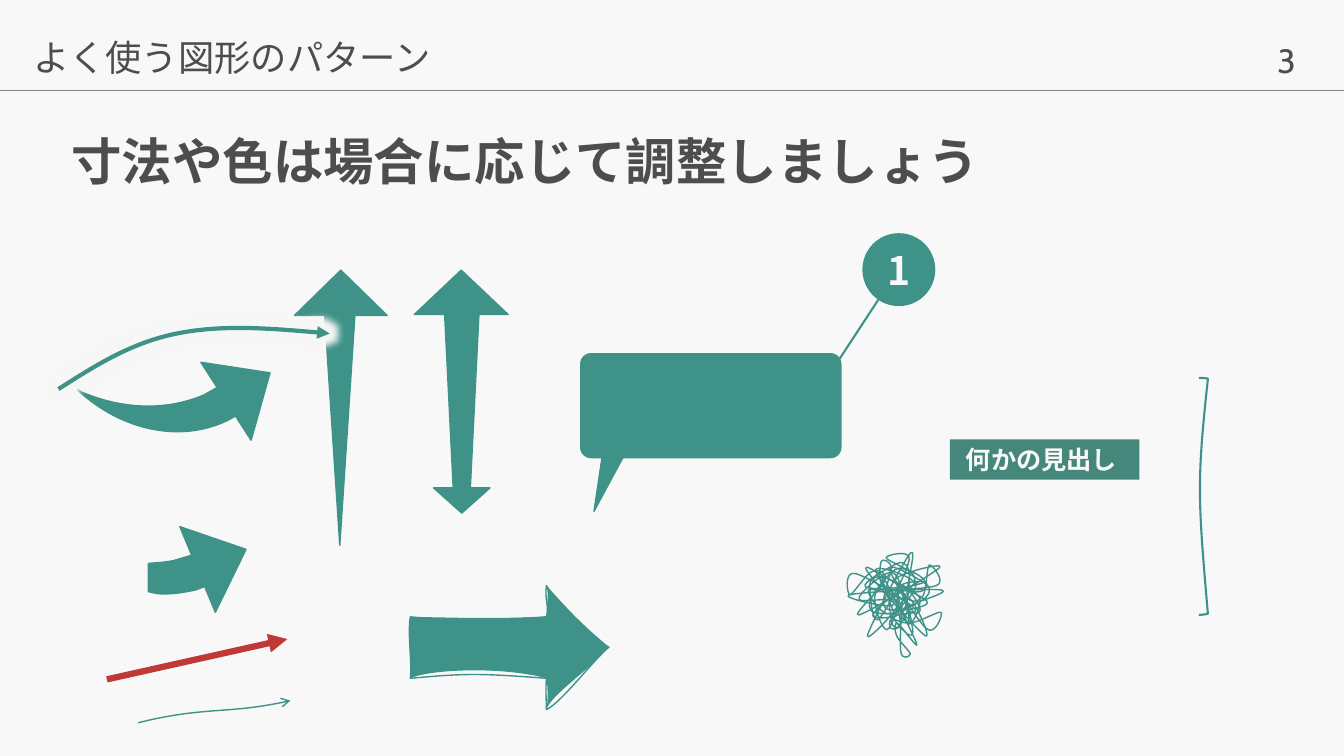
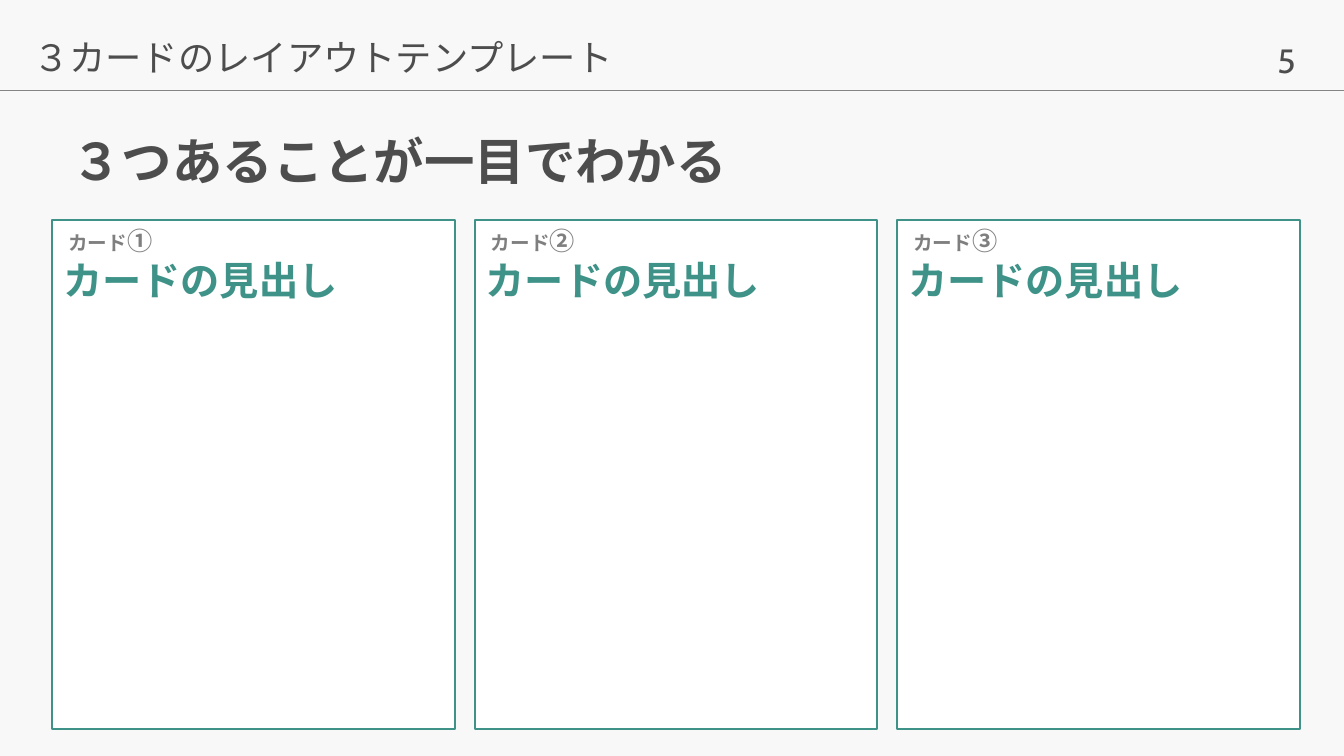
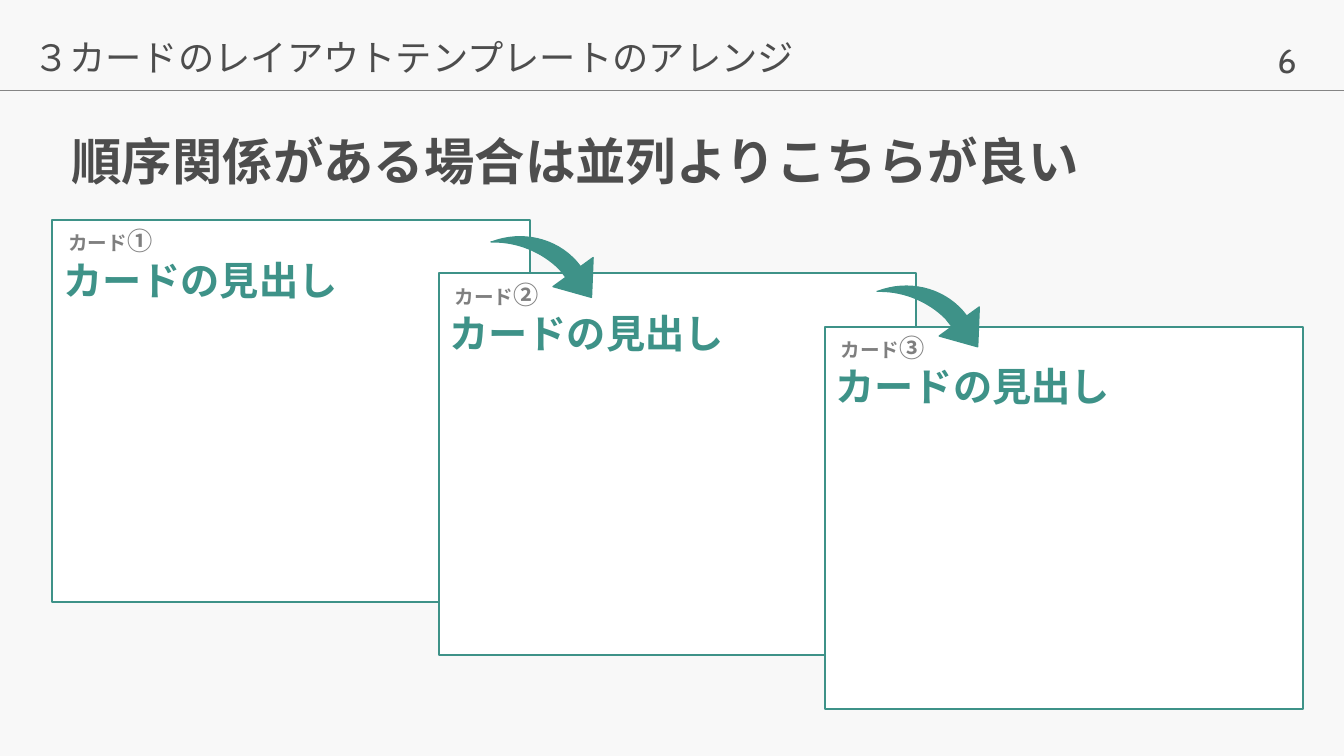
from lxml.etree import SubElement
from pptx import Presentation
from pptx.dml.color import RGBColor
from pptx.enum.shapes import MSO_CONNECTOR, MSO_SHAPE
from pptx.enum.text import MSO_ANCHOR, MSO_AUTO_SIZE, PP_ALIGN
from pptx.oxml.ns import qn
from pptx.util import Inches, Pt

PAPER = RGBColor(0xF8, 0xF8, 0xF8)
WHITE = RGBColor(0xFF, 0xFF, 0xFF)
INK = RGBColor(0x4D, 0x4D, 0x4D)
RULE = RGBColor(0x85, 0x85, 0x85)
GRAY = RGBColor(0x7F, 0x7F, 0x7F)
TEAL = RGBColor(0x3E, 0x92, 0x88)
MOSS = RGBColor(0x46, 0x87, 0x7B)
RED = RGBColor(0xC0, 0x39, 0x36)
SANS = "Noto Sans CJK JP"
CABIN = "Cabin"

PAGES = [
    ("3", "よく使う図形のパターン", "寸法や色は場合に応じて調整しましょう"),
    ("5", "３カードのレイアウトテンプレート", "３つあることが一目でわかる"),
    ("6", "３カードのレイアウトテンプレートのアレンジ", "順序関係がある場合は並列よりこちらが良い"),
]
MARKS = "①②③"
HEAD = "カードの見出し"
ROW = {"left": 0.52, "top": 2.18, "dx": 4.19, "dy": 0, "size": (3.99, 5.05)}
STAIR = {"left": 0.52, "top": 2.18, "dx": 3.83, "dy": 0.53, "size": (4.74, 3.79)}

TRI = MSO_SHAPE.ISOSCELES_TRIANGLE
TRAP = MSO_SHAPE.TRAPEZOID
ROUND = MSO_SHAPE.ROUNDED_RECTANGLE

SWEEP = [
    (2.18, 3.83), (2.35, 4.12), (2.26, 4.17), (1.79, 4.4, 1.2, 4.27, 0.77, 3.87),
    (0.77, 3.86), (0.81, 3.89), (1.21, 4.06, 1.64, 4.08, 2.02, 3.92),
]
STUB = [
    (1.93, 5.5), (2.05, 5.81), (1.95, 5.85), (1.82, 5.88, 1.69, 5.9, 1.56, 5.89),
    (1.47, 5.87), (1.47, 5.59), (1.6, 5.58), (1.66, 5.57, 1.71, 5.57, 1.76, 5.55),
]
HOP = [
    (5.62, 2.76), (5.76, 2.65), (5.72, 2.6), (5.51, 2.36, 5.17, 2.29, 4.88, 2.4),
    (4.87, 2.4), (4.9, 2.4), (5.14, 2.4, 5.38, 2.5, 5.55, 2.67),
]
GROUPS = [
    ([(TRI, (2, 3.58, 0.92, 0.52), 57.2)], SWEEP),
    ([(TRI, (4.11, 2.68, 0.93, 0.44), 0), (TRI, (4.3, 4.84, 0.56, 0.25), 180),
      (TRAP, (4.41, 3.12, 0.34, 1.72), 180)], None),
    ([(ROUND, (5.76, 3.51, 2.58, 1.03), 0), (TRI, (5.88, 4.43, 0.23, 0.66), 198.4)], None),
    ([(TRI, (2.92, 2.68, 0.92, 0.45), 0), (TRI, (3.22, 3.13, 0.3, 2.28), 180)], None),
    ([(TRI, (1.74, 5.29, 0.92, 0.52), 67.5)], STUB),
]
THIN = [(1.37, 7.17), (2.01, 7.01, 2.28, 7.09, 2.88, 6.95)]
HOOK = [
    (11.89, 3.75), (11.94, 3.75, 11.98, 3.75, 11.98, 3.76),
    (11.87, 4.78, 11.88, 4.93, 11.98, 6.09), (11.97, 6.09, 11.94, 6.1, 11.89, 6.1),
]
EDGE = [
    (4.07, 6.12), (4.56, 6.18, 4.96, 6.15, 5.42, 6.12), (5.45, 6.02, 5.4, 5.95, 5.42, 5.81),
    (5.52, 5.99, 5.91, 6.37, 6.04, 6.42), (5.91, 6.52, 5.57, 6.97, 5.42, 7.04),
    (5.42, 6.99, 5.41, 6.82, 5.42, 6.73), (4.76, 6.68, 4.62, 6.68, 4.07, 6.73),
    (4.09, 6.59, 4.04, 6.28, 4.07, 6.12),
]
BRUSH = [
    (4.07, 6.12), (4.62, 6.13, 4.8, 6.14, 5.42, 6.12), (5.43, 5.97, 5.44, 5.86, 5.42, 5.81),
    (5.62, 6.03, 5.73, 6.16, 6.04, 6.42), (5.83, 6.66, 5.46, 6.9, 5.42, 7.04),
    (5.43, 7, 5.44, 6.86, 5.42, 6.73), (4.98, 6.61, 4.26, 6.64, 4.07, 6.73),
    (4.07, 6.47, 4.06, 6.24, 4.07, 6.12),
]
ARC = [(0.58, 3.86), (0.94, 3.63, 1.3, 3.4, 1.75, 3.31), (2.19, 3.22, 2.73, 3.26, 3.27, 3.31)]
KNOT = [
    (9.1, 6.05), (9.06, 5.98, 8.61, 5.71, 8.5, 5.69), (8.39, 5.66, 8.42, 5.9, 8.45, 5.9),
    (8.48, 5.9, 8.61, 5.69, 8.67, 5.67), (8.73, 5.64, 8.82, 5.68, 8.8, 5.75),
    (8.78, 5.82, 8.45, 6.12, 8.54, 6.1), (8.63, 6.08, 9.28, 5.69, 9.34, 5.63),
    (9.4, 5.57, 8.92, 5.69, 8.9, 5.75), (8.88, 5.81, 9.24, 5.94, 9.22, 5.98),
    (9.21, 6.03, 8.86, 6.09, 8.8, 6.03), (8.74, 5.97, 8.86, 5.71, 8.86, 5.63),
    (8.85, 5.56, 8.77, 5.54, 8.76, 5.57), (8.75, 5.6, 8.72, 5.79, 8.79, 5.82),
    (8.86, 5.86, 9.17, 5.8, 9.19, 5.77), (9.21, 5.74, 9.01, 5.62, 8.92, 5.64),
    (8.84, 5.67, 8.71, 5.85, 8.67, 5.92), (8.63, 5.99, 8.63, 6.07, 8.71, 6.08),
    (8.78, 6.09, 9.13, 6.11, 9.1, 6.05),
]
TURNS = [
    ((8.37, 5.54, 1.01, 0.58), 0), ((8.45, 5.62, 0.93, 0.62), 82.7),
    ((8.37, 5.61, 1.01, 0.58), 148.1), ((8.4, 5.64, 1.01, 0.58), 207.5),
    ((8.45, 5.97, 0.93, 0.24), 258),
]


def put(item, vals):
    for key, val in vals.items():
        setattr(item, key, val)


def inch(box):
    return [Inches(v) for v in box]


def paint(shape, fill=None, line=None, width=1):
    shape.shadow.inherit = False
    for part, color in ((shape.fill, fill), (shape.line.fill, line)):
        if color is None:
            part.background()
        else:
            part.solid()
            part.fore_color.rgb = color
    if line is not None:
        shape.line.width = Pt(width)
    return shape


def draw(shapes, kind, box, fill=TEAL, line=TEAL, width=1, turn=0):
    shape = shapes.add_shape(kind, *inch(box))
    shape.rotation = turn
    return paint(shape, fill, line, width)


def bend(shape, steps):
    route = next(shape._element.iter(qn("a:path")))
    nodes = iter(route.findall(qn("a:lnTo")))
    for step in steps[1:]:
        node = next(nodes)
        if len(step) == 6:
            node.tag = qn("a:cubicBezTo")
            for more in (next(nodes), next(nodes)):
                node.append(more[0])
                route.remove(more)


def form(shapes, steps, fill=None, line=TEAL, width=1, close=False):
    spots = [tuple(inch(s[i:i + 2])) for s in steps for i in range(0, len(s), 2)]
    pen = shapes.build_freeform(*spots[0], scale=1.0)
    pen.add_line_segments(spots[1:], close=close)
    shape = pen.convert_to_shape()
    bend(shape, steps)
    return paint(shape, fill, line, width)


def link(shapes, start, end, color, width):
    line = shapes.add_connector(MSO_CONNECTOR.STRAIGHT, *inch(start + end))
    line.line.color.rgb = color
    line.line.width = Pt(width)
    SubElement(line._element.spPr, qn("a:effectLst"))
    return line


def tip(shape, end, kind):
    SubElement(shape.line._get_or_add_ln(), qn("a:" + end), type=kind)


def glow(shape, color, size, alpha):
    halo = SubElement(shape._element.spPr.find(qn("a:effectLst")), qn("a:glow"), rad=str(Pt(size)))
    tint = SubElement(halo, qn("a:srgbClr"), val=str(color))
    SubElement(tint, qn("a:alpha"), val=str(alpha * 1000))


def write(shape, runs, color, bold=True, face=SANS, frame={}, para={}):
    body = shape.text_frame
    put(body, {"word_wrap": True, **frame})
    line = body.paragraphs[0]
    put(line, {"alignment": PP_ALIGN.LEFT, **para})
    for text, size in runs:
        run = line.add_run()
        run.text = text
        put(run.font, {"name": face, "size": Pt(size), "bold": bold})
        run.font.color.rgb = color
        SubElement(run._r.get_or_add_rPr(), qn("a:ea"), typeface=face)


def label(shapes, box, runs, color, **style):
    write(shapes.add_textbox(*inch(box)), runs, color, **style)


GROW = {"word_wrap": False, "auto_size": MSO_AUTO_SIZE.SHAPE_TO_FIT_TEXT}


def page(deck, num, topic, title):
    shapes = deck.slides.add_slide(deck.slide_layouts[6]).shapes
    label(shapes, (12.57, 0.35, 0.61, 0.5), [(num, 24)], INK, bold=False, face=CABIN, frame=GROW)
    link(shapes, (0, 0.9), (13.33, 0.9), RULE, 1)
    label(shapes, (0.61, 1.11, 12.42, 1.03), [(title, 36)], INK,
          frame={"vertical_anchor": MSO_ANCHOR.MIDDLE}, para={"line_spacing": 0.9})
    label(shapes, (0.23, 0.38, 12.53, 0.51), [(topic, 25.9)], INK, bold=False,
          para={"line_spacing": 0.8})
    return shapes


def cluster(shapes, parts, curve):
    group = shapes.add_group_shape().shapes
    for kind, box, turn in parts:
        shape = draw(group, kind, box, turn=turn)
        if kind == ROUND:
            shape.adjustments[0] = 0.1
    if curve:
        form(group, curve, TEAL, close=True)


def gallery(shapes):
    for parts, curve in GROUPS:
        cluster(shapes, parts, curve)
    tip(link(shapes, (8.17, 3.8), (8.74, 2.93), TEAL, 1.5), "headEnd", "oval")
    disc = draw(shapes, MSO_SHAPE.OVAL, (8.56, 2.32, 0.71, 0.71))
    write(disc, [("1", 28)], PAPER, frame={"vertical_anchor": MSO_ANCHOR.MIDDLE},
          para={"alignment": PP_ALIGN.CENTER})
    tip(form(shapes, THIN), "tailEnd", "arrow")
    form(shapes, HOOK, width=1.5)
    tag = draw(shapes, MSO_SHAPE.RECTANGLE, (9.42, 4.36, 1.88, 0.4), MOSS, None)
    write(tag, [("何かの見出し", 18)], PAPER,
          frame={"vertical_anchor": MSO_ANCHOR.TOP, "margin_left": Inches(0.16)})
    dart = link(shapes, (1.06, 6.74), (2.85, 6.34), RED, 4.5)
    tip(dart, "tailEnd", "triangle")
    glow(dart, RED, 5, 40)
    form(shapes, EDGE, close=True)
    form(shapes, BRUSH, TEAL, None, close=True)
    arc = form(shapes, ARC, width=3)
    tip(arc, "tailEnd", "triangle")
    glow(arc, PAPER, 11, 100)
    for box, turn in TURNS:
        knot = form(shapes, KNOT, close=True)
        put(knot, dict(zip(("left", "top", "width", "height"), inch(box))))
        knot.rotation = turn


def cards(shapes, plan):
    for n, mark in enumerate(MARKS):
        x, y = plan["left"] + n * plan["dx"], plan["top"] + n * plan["dy"]
        draw(shapes, MSO_SHAPE.RECTANGLE, (x, y, *plan["size"]), WHITE, width=1.5)
        label(shapes, (x + 0.06, y + 0.01, 1.04, 0.4), [("カード", 14), (mark, 18)], GRAY, frame=GROW)
        label(shapes, (x + 0.01, y + 0.31, 2.95, 0.57), [(HEAD, 28)], TEAL, frame=GROW)


def hops(shapes):
    for n in range(2):
        dx, dy = n * 3.83, n * 0.49
        curve = [tuple(v + (dx, dy)[i % 2] for i, v in enumerate(step)) for step in HOP]
        cluster(shapes, [(TRI, (5.53 + dx, 2.67 + dy, 0.49, 0.31), 144)], curve)


def main():
    deck = Presentation()
    put(deck, {"slide_width": Inches(13.33), "slide_height": Inches(7.5)})
    back = deck.slide_master.background.fill
    back.solid()
    back.fore_color.rgb = PAPER
    first, second, third = [page(deck, *texts) for texts in PAGES]
    gallery(first)
    cards(second, ROW)
    cards(third, STAIR)
    hops(third)
    deck.save("out.pptx")


if __name__ == "__main__":
    main()
